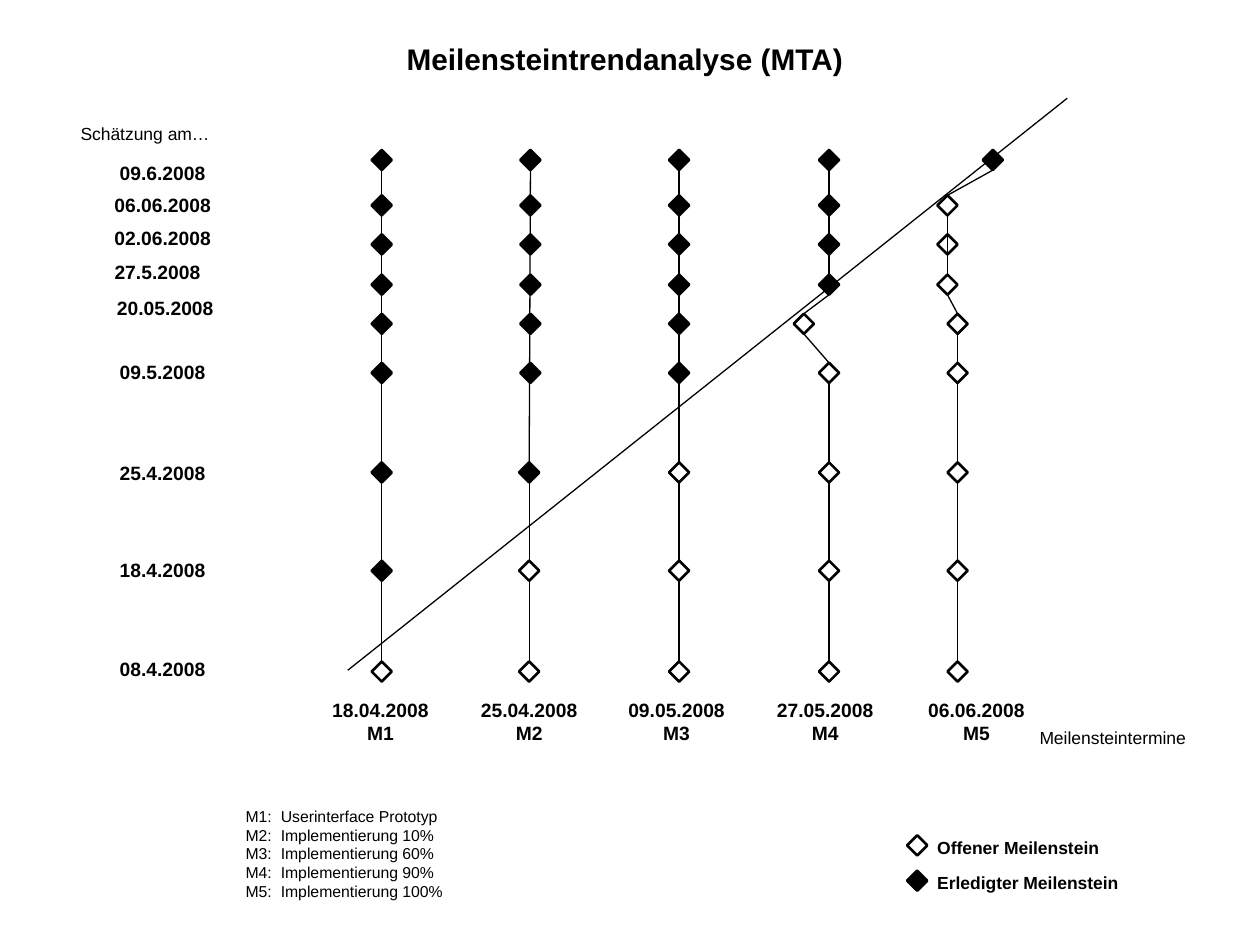
from dataclasses import dataclass

from lxml import etree
from pptx import Presentation
from pptx import util as u
from pptx.dml.color import RGBColor
from pptx.enum import shapes, text
from pptx.oxml import ns

BLACK = RGBColor(0x00, 0x00, 0x00)
WHITE = RGBColor(0xFF, 0xFF, 0xFF)
FONT = "Arial"
SIDE = 0.16  # width and height of a diamond
LEFT, MID, RIGHT = text.PP_ALIGN.LEFT, text.PP_ALIGN.CENTER, text.PP_ALIGN.RIGHT


@dataclass
class Row:
    """One estimate date: its label and the height of its diamonds."""
    day: str
    top: float
    left: float
    label: float
    tight: bool = False


@dataclass
class Stone:
    """One milestone: its due date and its place in each row, top down."""
    name: str
    due: str
    left: float
    spots: list[float]
    done: int
    skip: range  # rows the trend line runs straight through


ROWS = [
    Row("09.6.2008", 1.19, 0.85, 1.23),
    Row("06.06.2008", 1.55, 0.81, 1.51, True),
    Row("02.06.2008", 1.86, 0.81, 1.77, True),
    Row("27.5.2008", 2.18, 0.81, 2.02),
    Row("20.05.2008", 2.49, 0.83, 2.33, True),
    Row("09.5.2008", 2.88, 0.85, 2.81),
    Row("25.4.2008", 3.67, 0.85, 3.61),
    Row("18.4.2008", 4.45, 0.85, 4.38),
    Row("08.4.2008", 5.25, 0.85, 5.17),
]
STONES = [
    Stone("M1", "18.04.2008", 2.53, [2.95] * 9, 8, range(1, 6)),
    Stone("M2", "25.04.2008", 3.71, [4.13] * 6 + [4.12] * 3, 7, range(1, 6)),
    Stone("M3", "09.05.2008", 4.88, [5.31] * 9, 6, range(1, 6)),
    Stone("M4", "27.05.2008", 6.06, [6.5] * 4 + [6.3] + [6.5] * 4, 4,
          range(1, 3)),
    Stone("M5", "06.06.2008", 7.26, [7.8] + [7.44] * 3 + [7.52] * 5, 1,
          range(2, 3)),
]
TASKS = ["Userinterface Prototyp"] + [
    f"Implementierung {part}%" for part in (10, 60, 90, 100)]


def write(box, lines: list[str], size: float, bold: bool = False,
          align=LEFT, pitch: float | None = None) -> None:
    frame = box.text_frame
    frame.word_wrap = False
    frame.auto_size = text.MSO_AUTO_SIZE.SHAPE_TO_FIT_TEXT
    frame.vertical_anchor = text.MSO_ANCHOR.TOP
    frame.text = "\n".join(lines)
    for para in frame.paragraphs:
        para.alignment = align
        para.line_spacing = pitch
        font = para.font
        font.name, font.size, font.bold = FONT, u.Pt(size), bold
        font.color.rgb = BLACK


def label(slide, left: float, top: float, width: float, height: float,
          lines: list[str], size: float, **style):
    box = slide.shapes.add_textbox(*map(u.Inches, (left, top, width, height)))
    write(box, lines, size, **style)
    return box


def diamond(slide, left: float, top: float, done: bool):
    mark = slide.shapes.add_shape(
        shapes.MSO_SHAPE.FLOWCHART_DECISION,
        *map(u.Inches, (left, top, SIDE, SIDE)))
    mark.shadow.inherit = False
    mark.fill.solid()
    mark.fill.fore_color.rgb = BLACK if done else WHITE
    mark.line.color.rgb = BLACK
    mark.line.width = u.Pt(1.5)
    return mark


def draw_line(slide, *ends: float):
    line = slide.shapes.add_connector(
        shapes.MSO_CONNECTOR.STRAIGHT, *map(u.Inches, ends))
    line.line.color.rgb = BLACK
    line.line.width = u.Pt(0.75)
    etree.SubElement(line.element.spPr, ns.qn("a:effectLst"))
    return line


def trend(slide, stone: Stone) -> None:
    marks = [diamond(slide, left, row.top, i < stone.done)
             for i, (left, row) in enumerate(zip(stone.spots, ROWS))]
    stops = [mark for i, mark in enumerate(marks) if i not in stone.skip]
    for upper, lower in zip(stops, stops[1:]):
        line = draw_line(slide, 0, 0, 1, 1)
        line.begin_connect(upper, 2)
        line.end_connect(lower, 0)


def add_tab(para, place: float) -> None:
    tabs = etree.SubElement(para._p.get_or_add_pPr(), ns.qn("a:tabLst"))
    etree.SubElement(tabs, ns.qn("a:tab"), pos=str(u.Inches(place)), algn="l")


def main() -> None:
    deck = Presentation()
    deck.slide_width, deck.slide_height = u.Inches(10), u.Inches(7.5)
    slide = deck.slides.add_slide(deck.slide_layouts[5])

    # Title
    title = slide.shapes.title
    title.left, title.top, title.width, title.height = map(
        u.Inches, (3.12, 0.27, 3.68, 0.39))
    write(title, ["Meilensteintrendanalyse (MTA)"], 17, bold=True, align=MID)

    # Axis names and estimate dates
    label(slide, 0.54, 0.93, 1.22, 0.27, ["Schätzung am…"], 10, align=RIGHT)
    label(slide, 8.15, 5.72, 1.36, 0.27, ["Meilensteintermine"], 10, align=RIGHT)
    for row in ROWS:
        if row.tight:
            label(slide, row.left, row.label, 0.98, 0.26, [row.day], 11,
                  bold=True, pitch=0.87)
        else:
            label(slide, row.left, row.label, 0.88, 0.29, [row.day], 11,
                  bold=True, align=RIGHT)

    # Diagonal, then the milestones with their trend lines
    draw_line(slide, 2.76, 5.32, 8.47, 0.78)
    for stone in STONES:
        trend(slide, stone)
        label(slide, stone.left, 5.49, 0.98, 0.47, [stone.due, stone.name], 11,
              bold=True, align=MID)

    # Milestone names
    names = label(slide, 1.85, 6.35, 1.79, 0.85,
                  [f"{s.name}:\t{task}" for s, task in zip(STONES, TASKS)], 9)
    for para in names.text_frame.paragraphs:
        add_tab(para, 0.28)

    # Legend
    key = label(slide, 7.34, 6.56, 1.64, 0.58,
                ["Offener Meilenstein", "Erledigter Meilenstein"], 10,
                bold=True, pitch=1.2)
    key.text_frame.paragraphs[0].space_after = u.Pt(5.5)
    for top, done in ((6.63, False), (6.91, True)):
        diamond(slide, 7.2, top, done)

    deck.save("out.pptx")


if __name__ == "__main__":
    main()
